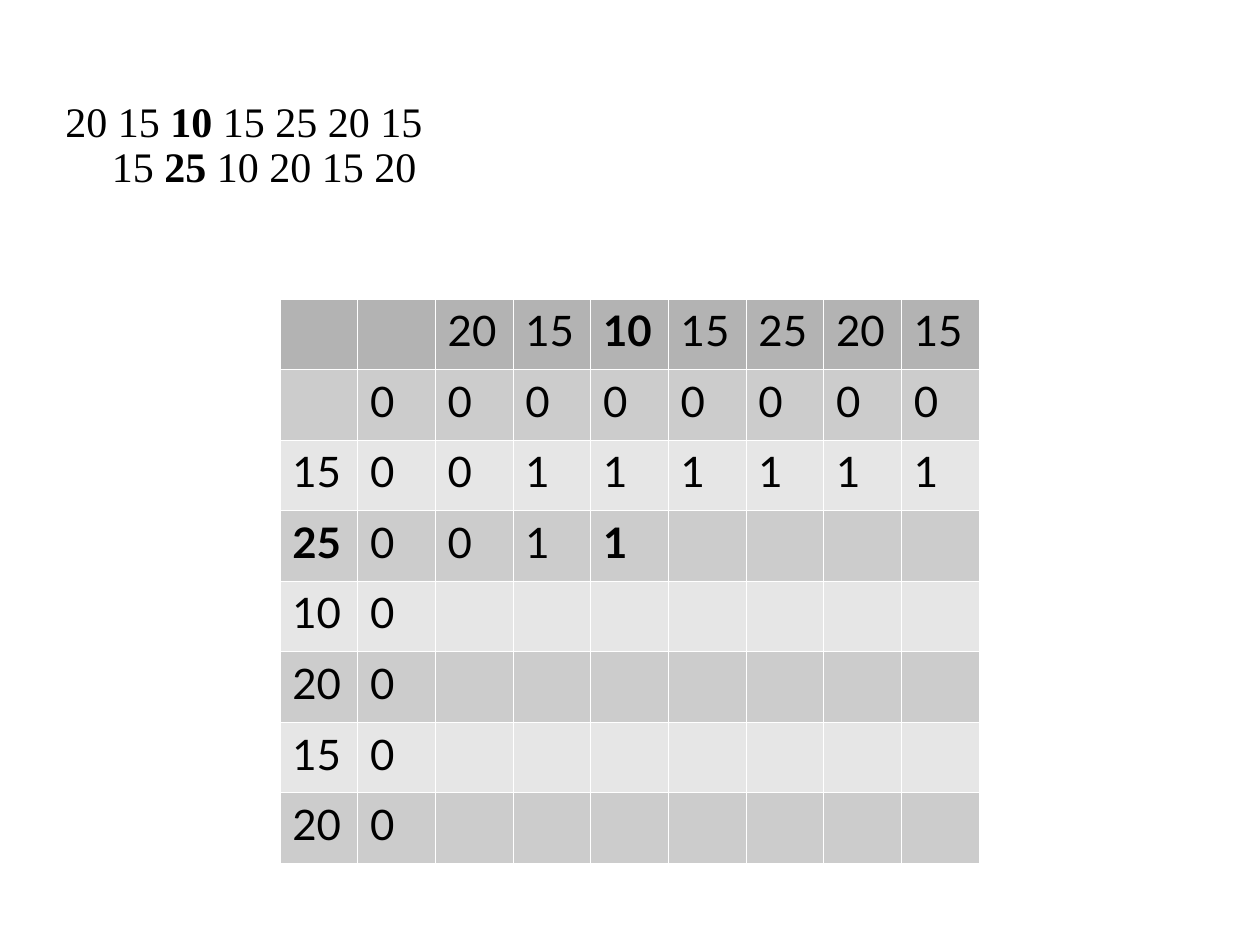
from typing import NamedTuple

import pptx
import pptx.dml.color
import pptx.oxml
import pptx.oxml.ns
import pptx.util

Inches = pptx.util.Inches
Pt = pptx.util.Pt
RGBColor = pptx.dml.color.RGBColor

BLACK = RGBColor(0x00, 0x00, 0x00)
WHITE = RGBColor(0xFF, 0xFF, 0xFF)
HEADER_GRAY = RGBColor(0xB3, 0xB3, 0xB3)
DARK_GRAY = RGBColor(0xCC, 0xCC, 0xCC)
LIGHT_GRAY = RGBColor(0xE6, 0xE6, 0xE6)

TEXT_SIZE = Pt(24)
BORDER_WIDTH = Pt(0.06)
ROW_HEIGHT = 0.56


class Span(NamedTuple):
    text: str
    bold: bool = False


SEQUENCES = [
    [Span("20 15 "), Span("10", True), Span(" 15 25 20 15")],
    [Span("15 "), Span("25", True), Span(" 10 20 15 20")],
]
GRID = [
    ["", "", "20", "15", "10", "15", "25", "20", "15"],
    ["", *["0"] * 8],
    ["15", "0", "0", *["1"] * 6],
    ["25", "0", "0", "1", "1"],
    ["10", "0"],
    ["20", "0"],
    ["15", "0"],
    ["20", "0"],
]
BOLD_CELLS = {(0, 4), (3, 0), (3, 4)}


def add_sequences(page: pptx.slide.Slide, lines: list[list[Span]]) -> None:
    box = page.shapes.add_textbox(Inches(0.42), Inches(0.75), Inches(8.83), Inches(6.15))
    box.text_frame.word_wrap = True
    para = box.text_frame.paragraphs[0]
    para.line_spacing = 0.9
    properties = para._p.get_or_add_pPr()
    properties.set("marL", str(Inches(0.37)))
    properties.set("indent", str(Inches(-0.37)))
    para.font.name = "Times New Roman"
    para.font.size = TEXT_SIZE
    para.font.color.rgb = BLACK
    for index, spans in enumerate(lines):
        if index:
            para.add_line_break()
        for span in spans:
            run = para.add_run()
            run.text = span.text
            run.font.bold = span.bold


def add_borders(cell: pptx.table._Cell) -> None:
    properties = cell._tc.get_or_add_tcPr()
    for side in ("lnL", "lnR", "lnT", "lnB"):
        properties.append(pptx.oxml.parse_xml(
            f'<a:{side} {pptx.oxml.ns.nsdecls("a")} w="{BORDER_WIDTH}">'
            f'<a:solidFill><a:srgbClr val="{WHITE}"/></a:solidFill></a:{side}>'
        ))


def row_color(row: int) -> RGBColor:
    if row == 0:
        return HEADER_GRAY
    return DARK_GRAY if row % 2 else LIGHT_GRAY


def add_grid(page: pptx.slide.Slide, grid: list[list[str]]) -> None:
    frame = page.shapes.add_table(
        len(grid), len(grid[0]), Inches(2.22), Inches(2.37),
        Inches(5.55), Inches(ROW_HEIGHT * len(grid)),
    )
    table = frame.table
    table.first_row = False
    table.horz_banding = False
    for row, values in enumerate(grid):
        for column in range(len(grid[0])):
            cell = table.cell(row, column)
            add_borders(cell)
            cell.fill.solid()
            cell.fill.fore_color.rgb = row_color(row)
            para = cell.text_frame.paragraphs[0]
            para.line_spacing = 1.01
            para.font.name = "Lato"
            para.font.size = TEXT_SIZE
            para.font.color.rgb = BLACK
            para.font.bold = (row, column) in BOLD_CELLS
            if column < len(values) and values[column]:
                para.add_run().text = values[column]


def main() -> None:
    deck = pptx.Presentation()
    deck.slide_width = Inches(10)
    deck.slide_height = Inches(7.5)
    page = deck.slides.add_slide(deck.slide_layouts[6])
    page.background.fill.solid()
    page.background.fill.fore_color.rgb = WHITE
    add_sequences(page, SEQUENCES)
    add_grid(page, GRID)
    deck.save("out.pptx")


if __name__ == "__main__":
    main()
